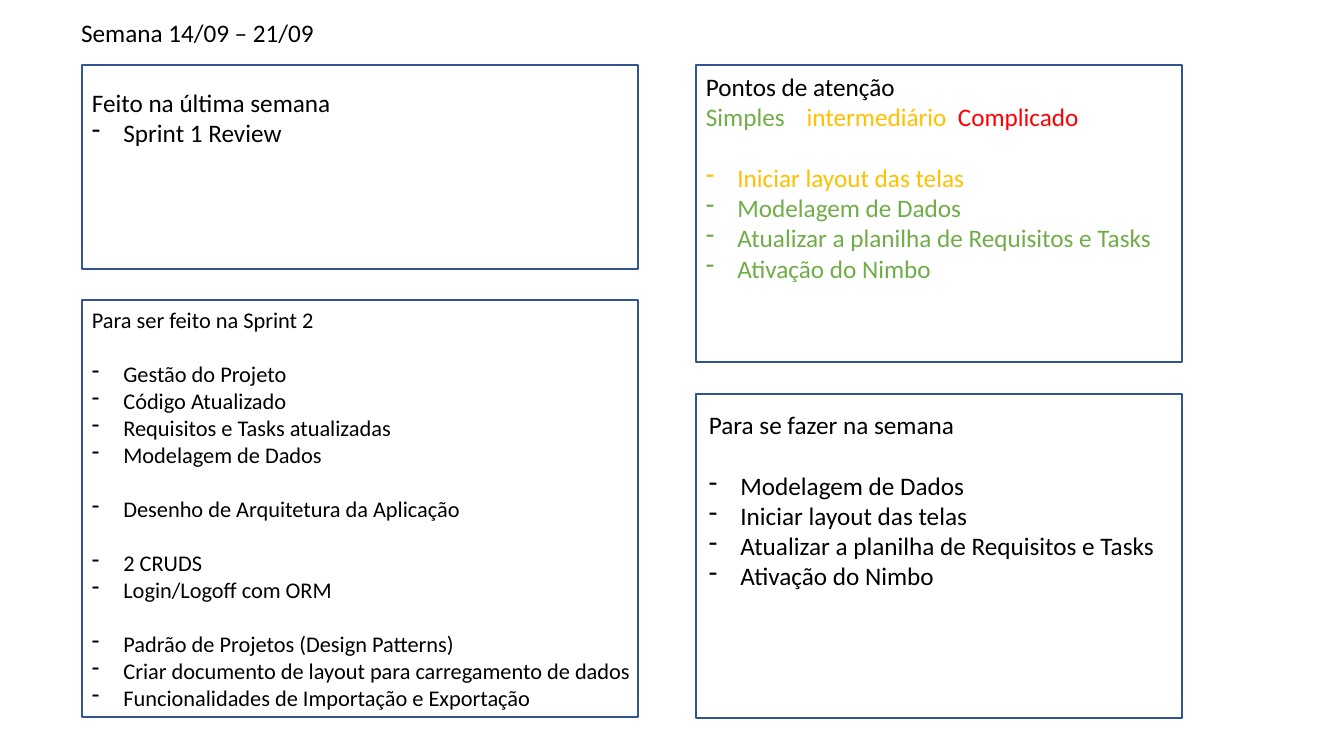
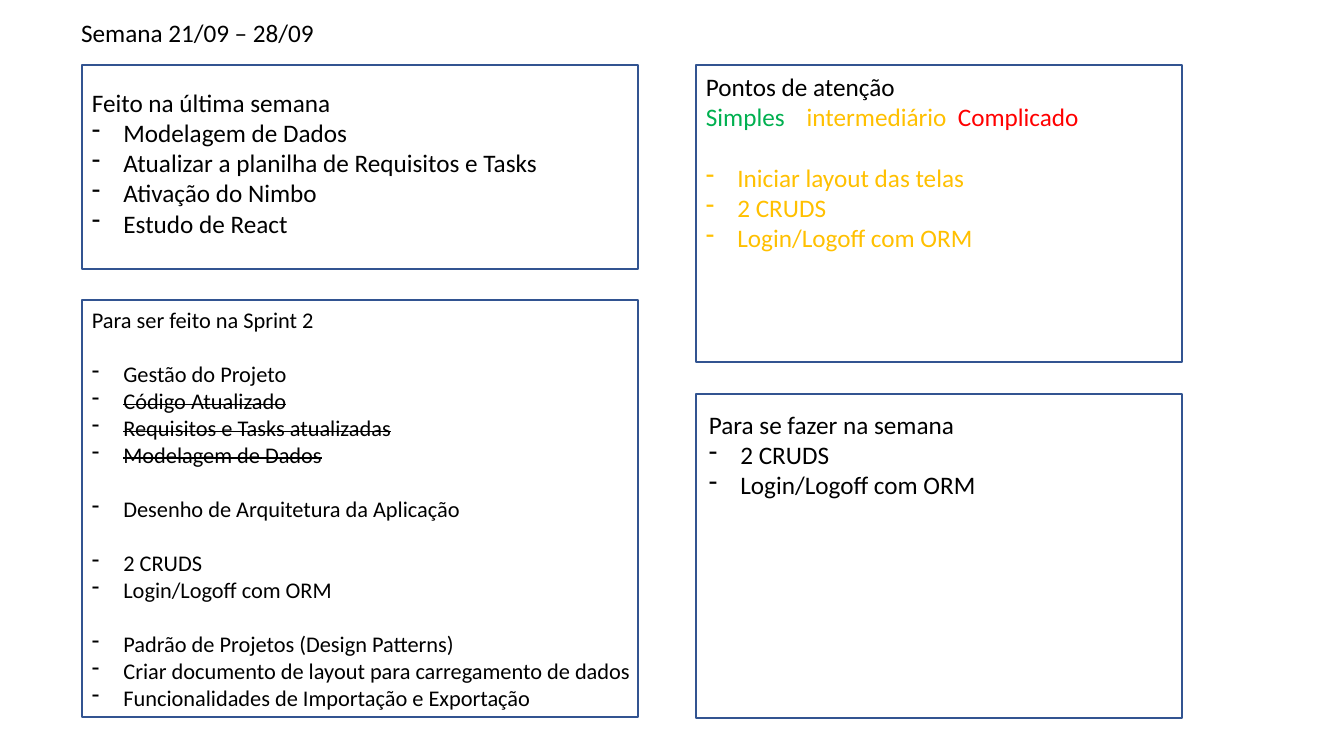
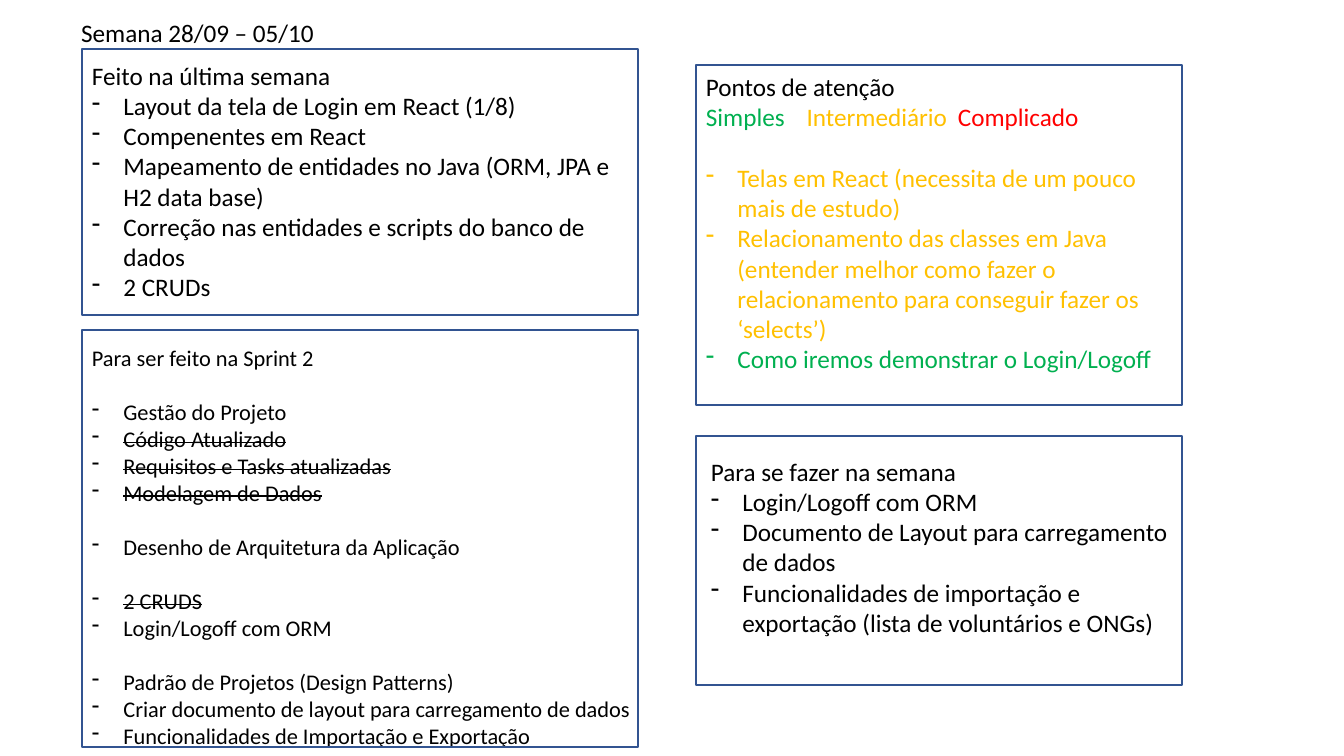
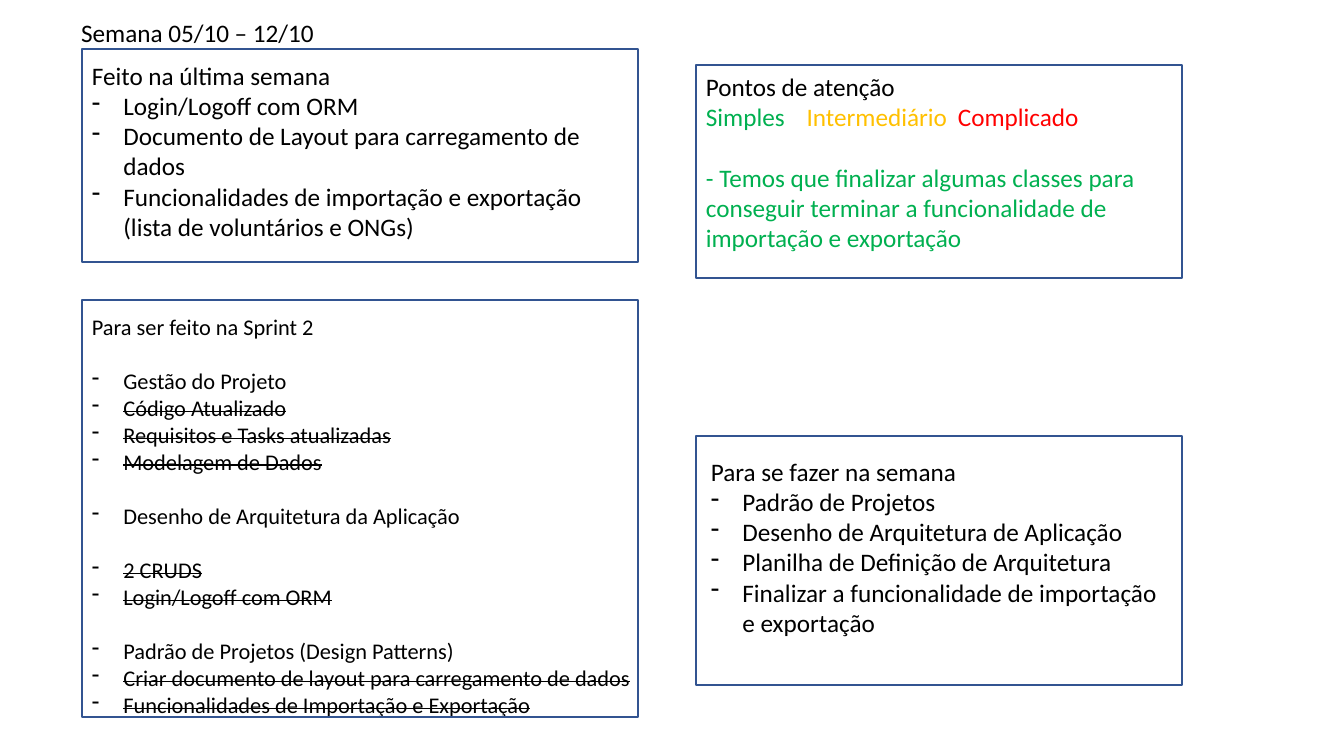
from dataclasses import dataclass

from lxml import etree
from pptx import Presentation
from pptx.dml.color import RGBColor
from pptx.enum import shapes, text
from pptx.oxml.ns import qn
from pptx.util import Pt

EMU_PER_PIXEL = 914400 / 100.8
FONT = "Calibri"
INDENT = Pt(22.5)
LINE_HEIGHT = 1.22
BODY_SIZE, BACKLOG_SIZE = 18, 16
COLORS = {
    "text": "000000",
    "frame": "325491",
    "lime": "70AD47",
    "green": "00B050",
    "amber": "FFC000",
    "red": "FF0000",
}
TITLE_BOX = (71, 12, 255, 40)
LEFT, RIGHT = 82, 696
LEFT_WIDTH, RIGHT_WIDTH = 556, 486
BACKLOG_HEIGHT = 417

BACKLOG = [
    ["Gestão do Projeto", "Código Atualizado", "Requisitos e Tasks atualizadas",
     "Modelagem de Dados"],
    ["Desenho de Arquitetura da Aplicação"],
    ["2 CRUDS", "Login/Logoff com ORM"],
    ["Padrão de Projetos (Design Patterns)",
     "Criar documento de layout para carregamento de dados",
     "Funcionalidades de Importação e Exportação"],
]
FIRST_FINISHED = set(BACKLOG[0][1:])
IMPORT_EXPORT = [
    "Login/Logoff com ORM",
    "Documento de Layout para carregamento de dados",
    "Funcionalidades de importação e exportação (lista de voluntários e ONGs)",
]


@dataclass
class Line:
    """One paragraph: runs of (words, colour name) and their look."""
    runs: list
    bullet: bool = True
    gap: bool = False
    strike: bool = False


@dataclass
class Week:
    """Content of one weekly slide; boxes are (left, top, width, height)."""
    dates: str
    done: list
    done_frame: tuple       # top, height
    done_text: tuple
    attention: list         # (colour name, words)
    attention_height: int
    attention_text_height: int
    todo: list
    todo_frame: tuple       # top, height
    todo_text: tuple
    easy: str = "green"
    medium: str = "Intermediário"
    attention_bullets: bool = True
    todo_gap: bool = False
    finished: frozenset = frozenset()
    backlog_top: int = 300
    backlog_text_top: int = 301


WEEKS = [
    Week(
        dates="14/09 – 21/09",
        done=["Sprint 1 Review"],
        done_frame=(65, 204), done_text=(LEFT, 82, 291, 72),
        attention=[
            ("amber", "Iniciar layout das telas"),
            ("lime", "Modelagem de Dados"),
            ("lime", "Atualizar a planilha de Requisitos e Tasks"),
            ("lime", "Ativação do Nimbo"),
        ],
        attention_height=297, attention_text_height=224,
        todo=["Modelagem de Dados", "Iniciar layout das telas",
              "Atualizar a planilha de Requisitos e Tasks", "Ativação do Nimbo"],
        todo_frame=(394, 324), todo_text=(699, 404, 477, 194),
        easy="lime", medium="intermediário", todo_gap=True,
    ),
    Week(
        dates="21/09 – 28/09",
        done=["Modelagem de Dados", "Atualizar a planilha de Requisitos e Tasks",
              "Ativação do Nimbo", "Estudo de React"],
        done_frame=(65, 204), done_text=(LEFT, 82, 484, 163),
        attention=[
            ("amber", "Iniciar layout das telas"),
            ("amber", "2 CRUDS"),
            ("amber", "Login/Logoff com ORM"),
        ],
        attention_height=297, attention_text_height=194,
        todo=["2 CRUDS", "Login/Logoff com ORM"],
        todo_frame=(394, 324), todo_text=(699, 404, 477, 102),
        medium="intermediário", finished=frozenset(FIRST_FINISHED),
    ),
    Week(
        dates="28/09 – 05/10",
        done=["Layout da tela de Login em React (1/8)", "Compenentes em React",
              "Mapeamento de entidades no Java (ORM, JPA e H2 data base)",
              "Correção nas entidades e scripts do banco de dados", "2 CRUDs"],
        done_frame=(49, 266), done_text=(LEFT, 55, LEFT_WIDTH, 254),
        attention=[
            ("amber", "Telas em React (necessita de um pouco mais de estudo)"),
            ("amber", "Relacionamento das classes em Java (entender melhor como "
                      "fazer o relacionamento para conseguir fazer os ‘selects’)"),
            ("green", "Como iremos demonstrar o Login/Logoff"),
        ],
        attention_height=340, attention_text_height=316,
        todo=IMPORT_EXPORT,
        todo_frame=(436, 249), todo_text=(701, 451, 477, 194),
        finished=frozenset(FIRST_FINISHED | {"2 CRUDS"}),
        backlog_top=330, backlog_text_top=339,
    ),
    Week(
        dates="05/10 – 12/10",
        done=IMPORT_EXPORT,
        done_frame=(49, 213), done_text=(LEFT, 55, LEFT_WIDTH, 194),
        attention=[
            ("green", "- Temos que finalizar algumas classes para conseguir "
                      "terminar a funcionalidade de importação e exportação"),
        ],
        attention_height=213, attention_text_height=194,
        todo=["Padrão de Projetos", "Desenho de Arquitetura de Aplicação",
              "Planilha de Definição de Arquitetura",
              "Finalizar a funcionalidade de importação e exportação"],
        todo_frame=(436, 249), todo_text=(701, 451, 477, 194),
        attention_bullets=False,
        finished=frozenset(FIRST_FINISHED | set(BACKLOG[2]) | set(BACKLOG[3][1:])),
        backlog_text_top=308,
    ),
]


def px(pixels):
    """Turn pixels into EMU."""
    return round(pixels * EMU_PER_PIXEL)


def color(name):
    """Look up a named colour."""
    return RGBColor.from_string(COLORS[name])


def add_run(paragraph, words, size, color_name="text", strike=False):
    """Append one formatted run."""
    run = paragraph.add_run()
    run.text = words
    run.font.name = FONT
    run.font.size = Pt(size)
    run.font.color.rgb = color(color_name)
    if strike:
        run._r.get_or_add_rPr().set("strike", "sngStrike")


def add_dash(paragraph):
    """Give a paragraph a hanging dash bullet."""
    properties = paragraph._p.get_or_add_pPr()
    properties.set("marL", str(INDENT))
    properties.set("indent", str(-INDENT))
    etree.SubElement(properties, qn("a:buFontTx"))
    etree.SubElement(properties, qn("a:buChar")).set("char", "-")


def add_title(slide, words):
    """Place and fill the title placeholder."""
    title = slide.shapes.title
    title.left, title.top, title.width, title.height = map(px, TITLE_BOX)
    frame = title.text_frame
    frame.word_wrap = False
    frame.auto_size = text.MSO_AUTO_SIZE.SHAPE_TO_FIT_TEXT
    frame.vertical_anchor = text.MSO_ANCHOR.TOP
    heading = frame.paragraphs[0]
    heading.alignment = text.PP_ALIGN.LEFT
    add_run(heading, words, BODY_SIZE)


def add_list(slide, box, heading, lines, size=BODY_SIZE):
    """Add a text box with a heading and its lines."""
    frame = slide.shapes.add_textbox(*map(px, box)).text_frame
    frame.word_wrap = True
    frame.auto_size = text.MSO_AUTO_SIZE.SHAPE_TO_FIT_TEXT
    add_run(frame.paragraphs[0], heading, size)
    for line in lines:
        paragraph = frame.add_paragraph()
        if line.bullet:
            add_dash(paragraph)
        if line.gap:
            paragraph.space_before = Pt(round(size * LINE_HEIGHT, 1))
        for words, color_name in line.runs:
            add_run(paragraph, words, size, color_name, line.strike)


def add_frame(slide, box):
    """Add an outlined, unfilled rectangle."""
    frame = slide.shapes.add_shape(shapes.MSO_SHAPE.RECTANGLE, *map(px, box))
    frame.shadow.inherit = False
    frame.fill.background()
    frame.line.color.rgb = color("frame")
    frame.line.width = Pt(1)


def plain_lines(items, first_gap=False):
    """Make black bulleted lines, with an optional gap above the first."""
    return [Line([(item, "text")], gap=first_gap and index == 0)
            for index, item in enumerate(items)]


def backlog_lines(finished):
    """Make the sprint backlog, striking out what is finished."""
    return [Line([(item, "text")], gap=index == 0, strike=item in finished)
            for group in BACKLOG for index, item in enumerate(group)]


def attention_lines(week):
    """Make the difficulty legend and the points coloured by it."""
    legend = Line([("Simples\t", week.easy), (week.medium + "\t", "amber"),
                   ("Complicado", "red")], bullet=False)
    points = [Line([(words, level)], bullet=week.attention_bullets, gap=index == 0)
              for index, (level, words) in enumerate(week.attention)]
    return [legend] + points


def add_week(deck, week):
    """Build one weekly status slide."""
    slide = deck.slides.add_slide(deck.slide_layouts[5])
    add_title(slide, "Semana " + week.dates)

    add_list(slide, week.done_text, "Feito na última semana", plain_lines(week.done))
    add_list(slide, (RIGHT, 66, 482, week.attention_text_height),
             "Pontos de atenção", attention_lines(week))
    add_list(slide, (LEFT, week.backlog_text_top, 566, BACKLOG_HEIGHT),
             "Para ser feito na Sprint 2", backlog_lines(week.finished), BACKLOG_SIZE)
    add_list(slide, week.todo_text, "Para se fazer na semana",
             plain_lines(week.todo, week.todo_gap))

    columns = [
        (LEFT, LEFT_WIDTH, [week.done_frame, (week.backlog_top, BACKLOG_HEIGHT)]),
        (RIGHT, RIGHT_WIDTH, [(65, week.attention_height), week.todo_frame]),
    ]
    for left, width, spans in columns:
        for top, height in spans:
            add_frame(slide, (left, top, width, height))


def main():
    """Build and save the weekly status deck."""
    deck = Presentation()
    deck.slide_width, deck.slide_height = px(1344), px(756)
    for week in WEEKS:
        add_week(deck, week)
    deck.save("out.pptx")


main()
